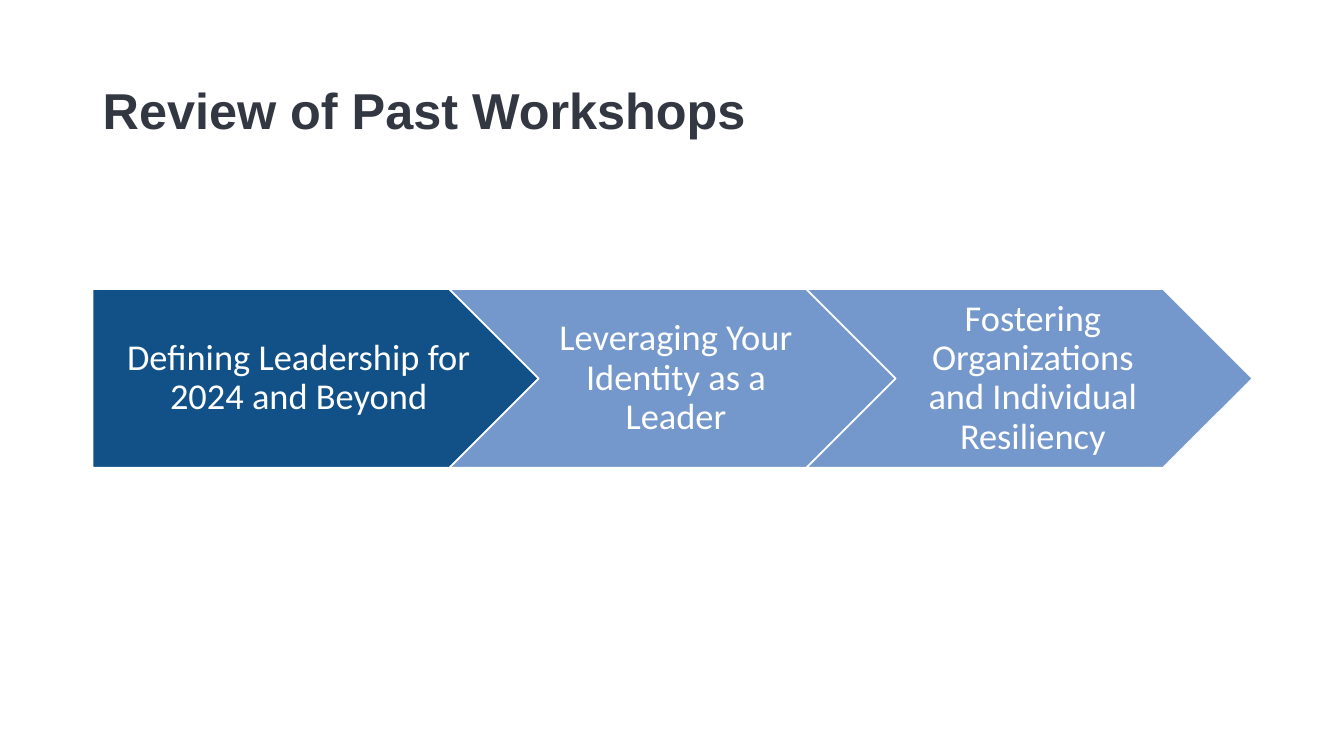
"""Build the slide that reviews past workshops as a chain of arrows."""
from dataclasses import dataclass

import pptx
import pptx.dml.color
import pptx.enum.shapes
import pptx.enum.text
import pptx.slide
import pptx.text.text
import pptx.util

RGBColor = pptx.dml.color.RGBColor
Kind = pptx.enum.shapes.MSO_SHAPE
Align = pptx.enum.text.PP_ALIGN

PX = 9144
INK = RGBColor(0x32, 0x37, 0x41)
NAVY = RGBColor(0x12, 0x51, 0x87)
SKY = RGBColor(0x74, 0x98, 0xCC)
WHITE = RGBColor(0xFF, 0xFF, 0xFF)

LEFT, TOP, WIDE, HIGH, STEP = 92, 287, 442, 177, 354


@dataclass(frozen=True)
class Style:
    """Look of one run of text."""
    font: str
    size: int
    color: RGBColor
    align: Align
    bold: bool = False


@dataclass(frozen=True)
class Workshop:
    """One arrow of the chain."""
    text: str
    kind: Kind
    fill: RGBColor
    inset: int


TITLE = Style("Arial", 36, INK, Align.LEFT, True)
LABEL = Style("Calibri", 26, WHITE, Align.CENTER)

SHOPS = (
    Workshop("Defining Leadership for 2024 and Beyond", Kind.PENTAGON, NAVY, 15),
    Workshop("Leveraging Your Identity as a Leader", Kind.CHEVRON, SKY, 11),
    Workshop("Fostering Organizations and Individual Resiliency",
             Kind.CHEVRON, SKY, 11),
)


def px(count: int) -> pptx.util.Emu:
    """Turn px into EMU."""
    return pptx.util.Emu(count * PX)


def write(frame: pptx.text.text.TextFrame, text: str, style: Style) -> None:
    """Put one styled paragraph in the middle of a frame."""
    frame.word_wrap = True
    frame.vertical_anchor = pptx.enum.text.MSO_ANCHOR.MIDDLE
    para = frame.paragraphs[0]
    para.alignment = style.align
    para.line_spacing = 0.9
    run = para.add_run()
    run.text = text
    run.font.name = style.font
    run.font.size = pptx.util.Pt(style.size)
    run.font.bold = style.bold
    run.font.color.rgb = style.color


def draw(slide: pptx.slide.Slide, index: int, shop: Workshop) -> None:
    """Draw one workshop arrow at its place in the chain."""
    shape = slide.shapes.add_shape(
        shop.kind, px(LEFT + index * STEP), px(TOP), px(WIDE), px(HIGH))
    shape.shadow.inherit = False
    shape.fill.solid()
    shape.fill.fore_color.rgb = shop.fill
    shape.line.color.rgb = WHITE
    shape.line.width = pptx.util.Pt(1)
    frame = shape.text_frame
    frame.margin_left, frame.margin_right = px(shop.inset), px(4)
    frame.margin_top = frame.margin_bottom = px(8)
    write(frame, shop.text, LABEL)


def main() -> None:
    """Make the deck and save it."""
    deck = pptx.Presentation()
    deck.slide_width, deck.slide_height = px(1333), px(750)
    slide = deck.slides.add_slide(deck.slide_layouts[6])
    title = slide.shapes.add_textbox(px(LEFT), px(40), px(1150), px(145))
    write(title.text_frame, "Review of Past Workshops", TITLE)
    for index, shop in enumerate(SHOPS):
        draw(slide, index, shop)
    deck.save("out.pptx")


if __name__ == "__main__":
    main()
